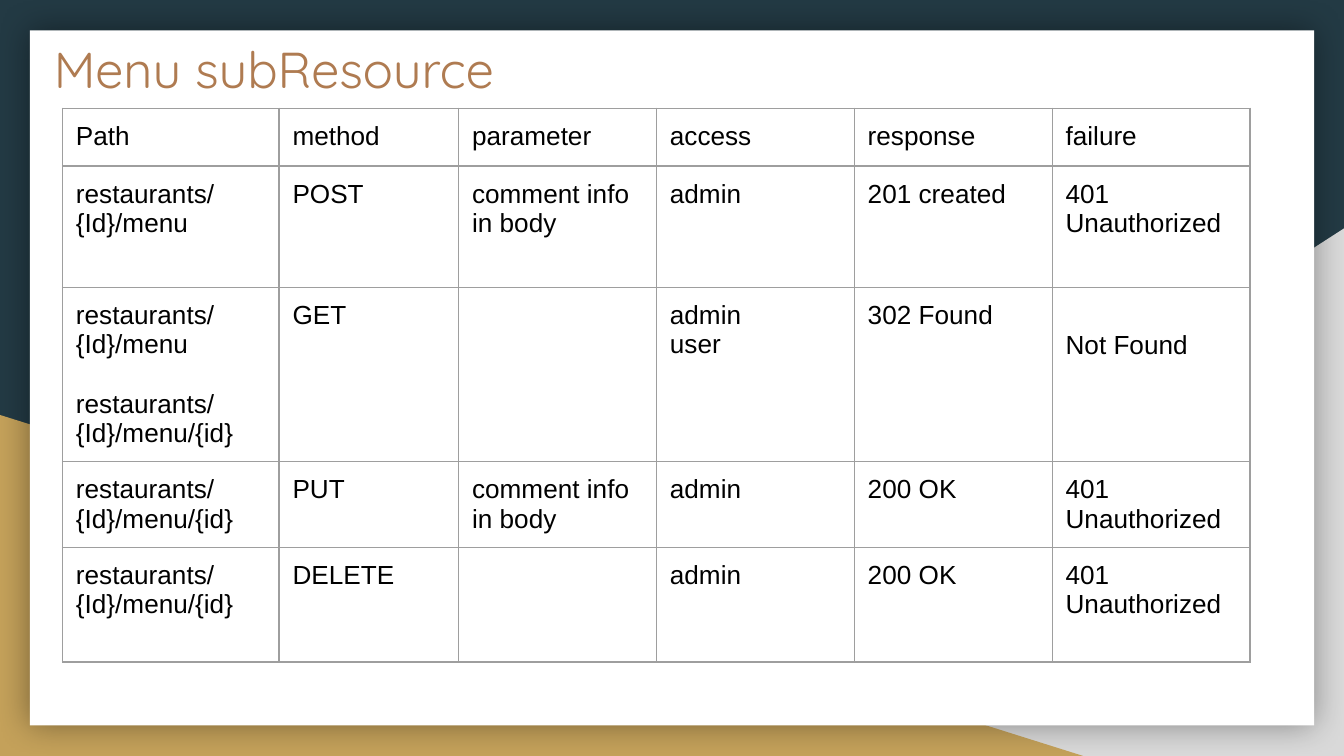
from dataclasses import dataclass

from lxml.etree import SubElement
from pptx import Presentation
from pptx.dml.color import RGBColor
from pptx.enum.shapes import MSO_SHAPE as Preset
from pptx.enum.text import MSO_ANCHOR as Anchor, PP_ALIGN as Align
from pptx.oxml.ns import qn
from pptx.util import Pt

COLORS = {
    "navy": "233A44",
    "grey": "D9D9D9",
    "gold": "C4A15A",
    "white": "FFFFFF",
    "copper": "AF7B51",
    "black": "000000",
    "border": "9E9E9E",
}
INSET = 7.2
LINE_HEIGHT = 16


@dataclass(frozen=True)
class Panel:
    preset: Preset
    left: float
    top: float
    width: float
    height: float
    color: str
    flipped: bool = False
    shadowed: bool = False


@dataclass(frozen=True)
class Entry:
    """Paragraphs of a cell, and the blank lines above and between them."""
    lines: tuple[str, ...] = ()
    lines_above: int = 0
    lines_between: int = 0


@dataclass(frozen=True)
class Row:
    height: float
    entries: tuple[Entry, ...]


PANELS = (
    Panel(Preset.RIGHT_TRIANGLE, 282.2, 122.4, 437.8, 282.6, "grey", flipped=True),
    Panel(Preset.RIGHT_TRIANGLE, 0, 222.3, 580.3, 182.7, "gold"),
    Panel(Preset.RECTANGLE, 16, 16.3, 688, 372.4, "white", shadowed=True),
)

EMPTY = Entry()
ADMIN = Entry(("admin",))
OK = Entry(("200 OK",))
UNAUTHORIZED = Entry(("401 Unauthorized",))
BODY = Entry(("comment info in body",))
MENU = "restaurants/{Id}/menu"
MENU_ITEM = MENU + "/{id}"

COLUMN_WIDTHS = (116, 96.2) + (106,) * 4
HEADINGS = ("Path", "method", "parameter", "access", "response", "failure")
ROWS = (
    Row(31, tuple(Entry((heading,)) for heading in HEADINGS)),
    Row(65, (Entry((MENU,)), Entry(("POST",)), BODY, ADMIN,
             Entry(("201 created",)), UNAUTHORIZED)),
    Row(93, (Entry((MENU, MENU_ITEM), lines_between=1), Entry(("GET",)), EMPTY,
             Entry(("admin", "user")), Entry(("302 Found",)),
             Entry(("Not Found",), lines_above=1))),
    Row(45.8, (Entry((MENU_ITEM,)), Entry(("PUT",)), BODY, ADMIN, OK, UNAUTHORIZED)),
    Row(61.5, (Entry((MENU_ITEM,)), Entry(("DELETE",)), EMPTY, ADMIN, OK, UNAUTHORIZED)),
)


def rgb(name: str) -> RGBColor:
    return RGBColor.from_string(COLORS[name])


def style_font(font, name: str, size: float, color: str) -> None:
    font.name, font.size, font.bold = name, Pt(size), False
    font.color.rgb = rgb(color)


def add_glow_shadow(shape) -> None:
    """Soft, centred shadow around the shape."""
    effects = shape._element.spPr.find(qn("a:effectLst"))
    shadow = SubElement(effects, qn("a:outerShdw"), blurRad=str(Pt(18)),
                        dist="0", algn="ctr", rotWithShape="0")
    color = SubElement(shadow, qn("a:srgbClr"), val=COLORS["black"])
    SubElement(color, qn("a:alpha"), val="40000")


def add_panel(page, panel: Panel) -> None:
    shape = page.shapes.add_shape(panel.preset, Pt(panel.left), Pt(panel.top),
                                  Pt(panel.width), Pt(panel.height))
    shape.shadow.inherit = False
    shape.fill.solid()
    shape.fill.fore_color.rgb = rgb(panel.color)
    shape.line.fill.background()
    if panel.flipped:
        shape._element.spPr.find(qn("a:xfrm")).set("flipH", "1")
    if panel.shadowed:
        add_glow_shadow(shape)


def place_title(page, text: str) -> None:
    title = page.shapes.title
    title.left, title.top = Pt(21.6), Pt(13)
    title.width, title.height = Pt(671), Pt(45.4)
    frame = title.text_frame
    frame.text = text
    frame.vertical_anchor = Anchor.TOP
    frame.margin_left = frame.margin_right = Pt(INSET)
    frame.margin_top = frame.margin_bottom = Pt(INSET)
    para = frame.paragraphs[0]
    para.alignment = Align.LEFT
    style_font(para.font, "Quicksand", 27, "copper")
    page.shapes._spTree.append(title._element)  # in front of the panels


def add_borders(cell) -> None:
    properties = cell._tc.get_or_add_tcPr()
    for index, side in enumerate(("lnL", "lnR", "lnT", "lnB")):
        line = properties.makeelement(qn(f"a:{side}"), {"w": str(Pt(0.75))})
        fill = SubElement(line, qn("a:solidFill"))
        SubElement(fill, qn("a:srgbClr"), val=COLORS["border"])
        properties.insert(index, line)  # borders come before the fill


def fill_cell(cell, entry: Entry) -> None:
    cell.fill.background()
    cell.margin_left = cell.margin_right = cell.margin_bottom = Pt(INSET)
    cell.margin_top = Pt(INSET + entry.lines_above * LINE_HEIGHT)
    cell.text = "\n".join(entry.lines)
    for index, para in enumerate(cell.text_frame.paragraphs):
        style_font(para.font, "Arial", 14, "black")
        if index:
            para.space_before = Pt(entry.lines_between * LINE_HEIGHT)
    add_borders(cell)


def add_endpoint_table(page) -> None:
    frame = page.shapes.add_table(
        len(ROWS), len(COLUMN_WIDTHS), Pt(33.5), Pt(58),
        Pt(sum(COLUMN_WIDTHS)), Pt(sum(row.height for row in ROWS)))
    table = frame.table
    table.first_row = table.horz_banding = False
    for column, width in zip(table.columns, COLUMN_WIDTHS):
        column.width = Pt(width)
    for table_row, row in zip(table.rows, ROWS):
        table_row.height = Pt(row.height)
        for cell, entry in zip(table_row.cells, row.entries):
            fill_cell(cell, entry)


def main() -> None:
    deck = Presentation()
    deck.slide_width, deck.slide_height = Pt(720), Pt(405)
    page = deck.slides.add_slide(deck.slide_layouts.get_by_name("Title Only"))
    page.background.fill.solid()
    page.background.fill.fore_color.rgb = rgb("navy")
    for panel in PANELS:
        add_panel(page, panel)
    place_title(page, "Menu subResource")
    add_endpoint_table(page)
    deck.save("out.pptx")


if __name__ == "__main__":
    main()
